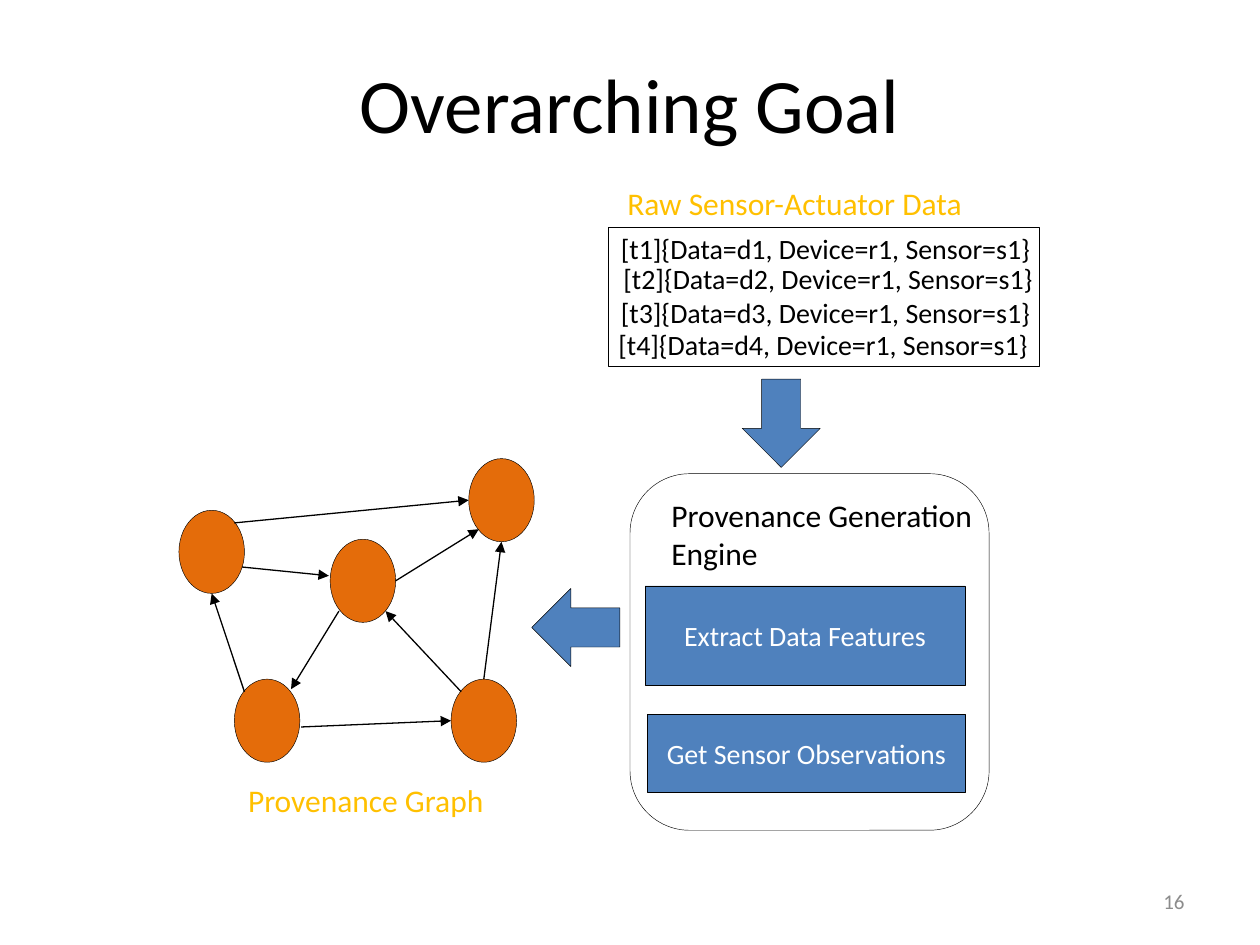
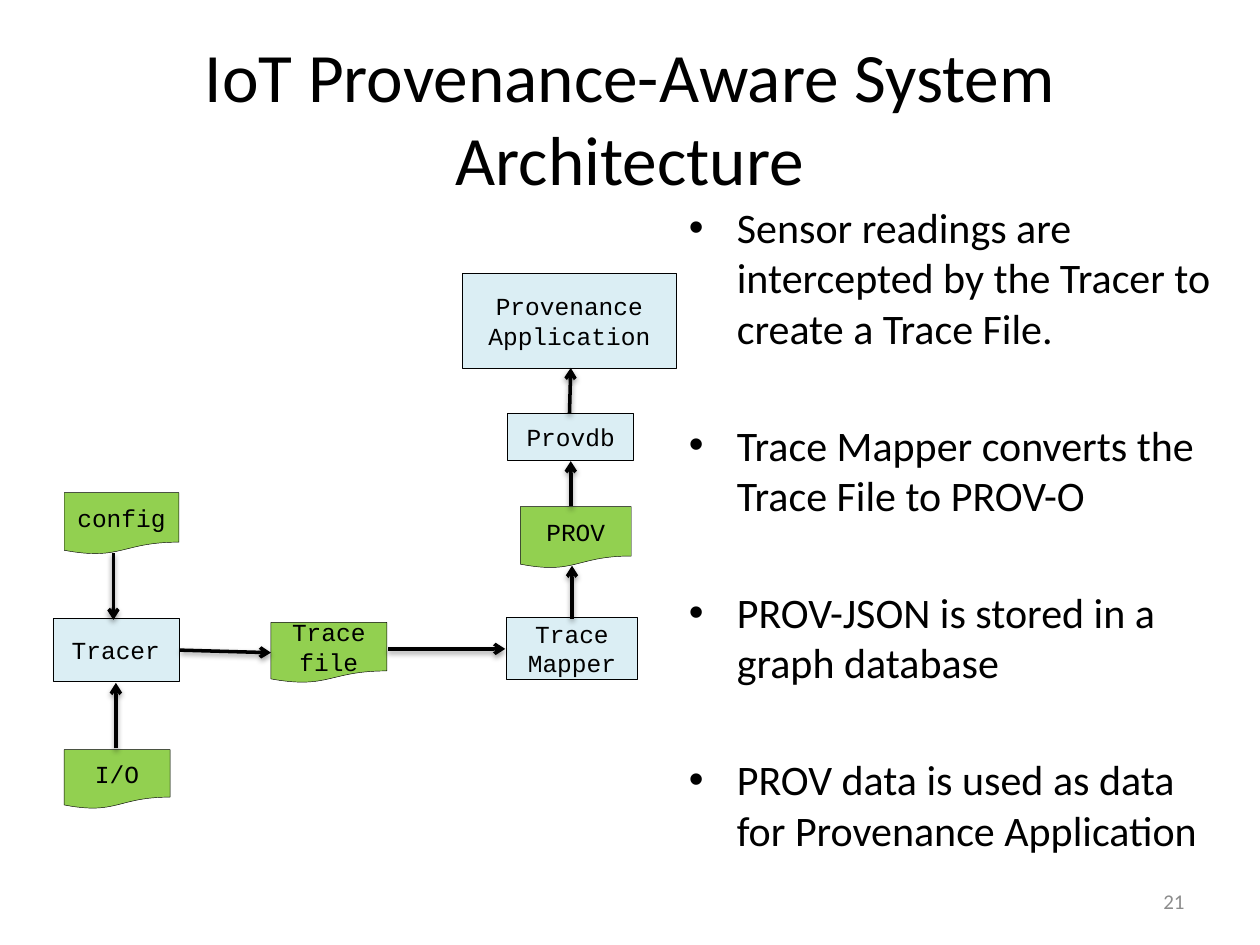
from lxml import etree
from pptx import Presentation
from pptx.dml.color import RGBColor
from pptx.enum.shapes import MSO_CONNECTOR, MSO_SHAPE
from pptx.enum.text import MSO_ANCHOR, PP_ALIGN
from pptx.oxml import parse_xml
from pptx.oxml.ns import nsdecls, qn
from pptx.util import Inches, Pt

BLACK = RGBColor(0x00, 0x00, 0x00)
WHITE = RGBColor(0xFF, 0xFF, 0xFF)
GRAY = RGBColor(0x8C, 0x8C, 0x8C)
BLUE = RGBColor(0x4F, 0x81, 0xBD)
ORANGE = RGBColor(0xE4, 0x6C, 0x0A)
GOLD = RGBColor(0xFF, 0xC0, 0x00)
PALE_BLUE = RGBColor(0xDB, 0xEE, 0xF4)
GREEN = RGBColor(0x92, 0xD0, 0x50)

SANS = "Calibri"
MONO = "Courier New"
LEFT, CENTER, RIGHT = PP_ALIGN.LEFT, PP_ALIGN.CENTER, PP_ALIGN.RIGHT
TOP, MIDDLE = MSO_ANCHOR.TOP, MSO_ANCHOR.MIDDLE
STRAIGHT = MSO_CONNECTOR.STRAIGHT
RECTANGLE = MSO_SHAPE.RECTANGLE
ROUNDED = MSO_SHAPE.ROUNDED_RECTANGLE
OVAL = MSO_SHAPE.OVAL
DOWN_ARROW = MSO_SHAPE.DOWN_ARROW
DOCUMENT = MSO_SHAPE.FLOWCHART_DOCUMENT

COLUMNS, ROWS = 100, 75
SLIDE_WIDTH, SLIDE_HEIGHT = Inches(10), Inches(7.5)
NODE_WIDTH, NODE_HEIGHT = 5.2, 6.6
THIN = 0.25

READINGS = [(48.3, 17.9), (48.5, 20.3), (48.3, 23), (48.1, 25.5)]
GRAPH_NODES = [(26.2, 42.8), (14.2, 40.5), (37.2, 36.4), (35.8, 53.9), (18.6, 53.9)]
GRAPH_EDGES = [
    ((18.6, 41.5), (37.2, 39.7)),
    ((19.2, 45), (26.1, 45.7)),
    ((19.4, 54.9), (16.8, 47.1)),
    ((23.9, 57.7), (35.8, 57.2)),
    ((26.9, 48.5), (23.1, 54.7)),
    ((36.6, 54.9), (30.6, 48.5)),
    ((38.4, 53.9), (39.8, 43)),
    ((31.4, 46.1), (38, 42)),
]
COMPONENTS = [
    ((40.2, 49, 10.4, 4.9), ["Trace Mapper"]),
    ((4.2, 49.1, 10, 5), ["Tracer"]),
    ((40.3, 32.8, 10, 3.7), ["Provdb"]),
    ((36.7, 21.7, 17, 7.5), ["Provenance", "Application"]),
]
FILES = [
    ((5.1, 39.1, 9.1, 4.9), ["config"]),
    ((41.3, 40.2, 8.8, 4.9), ["PROV"]),
    ((21.5, 49.4, 9.2, 4.8), ["Trace", "file"]),
    ((5.1, 59.5, 8.4, 4.7), ["I/O"]),
]
FLOWS = [
    ((14.3, 51.6), (21.5, 51.8)),
    ((9, 43.9), (9, 49.2)),
    ((45.4, 49.1), (45.4, 44.9)),
    ((45.3, 40.2), (45.3, 36.6)),
    ((45.2, 32.8), (45.3, 29.2)),
    ((30.8, 51.5), (40.1, 51.5)),
    ((9.2, 59.4), (9.2, 54.2)),
]
STEPS = [
    "Sensor readings are intercepted by the Tracer to create a Trace File.",
    "Trace Mapper converts the Trace File to PROV-O",
    "PROV-JSON is stored in a graph database",
    "PROV data is used as data for Provenance Application",
]


def place(x, y):
    """Turn grid columns and rows into slide lengths."""
    return round(x * SLIDE_WIDTH / COLUMNS), round(y * SLIDE_HEIGHT / ROWS)


def add_run(paragraph, text, size, color, font):
    """Add one formatted run to a paragraph."""
    run = paragraph.add_run()
    run.text = text
    run.font.size = Pt(size)
    run.font.name = font
    run.font.color.rgb = color


def write_lines(frame, lines, size, color=BLACK, font=SANS, align=LEFT):
    """Fill a text frame with one paragraph per line."""
    for index, line in enumerate(lines):
        paragraph = frame.add_paragraph() if index else frame.paragraphs[0]
        paragraph.alignment = align
        add_run(paragraph, line, size, color, font)


def add_text(slide, box, lines, size, color=BLACK, align=LEFT, anchor=TOP, wrap=True):
    """Add a text box and return its frame."""
    frame = slide.shapes.add_textbox(*place(*box[:2]), *place(*box[2:])).text_frame
    frame.word_wrap = wrap
    frame.vertical_anchor = anchor
    write_lines(frame, lines, size, color, align=align)
    return frame


def add_box(slide, kind, box, fill, lines=(), size=16, color=BLACK, font=SANS):
    """Add a thinly outlined preset shape with centred text."""
    shape = slide.shapes.add_shape(kind, *place(*box[:2]), *place(*box[2:]))
    shape.shadow.inherit = False
    shape.fill.solid()
    shape.fill.fore_color.rgb = fill
    shape.line.color.rgb = BLACK
    shape.line.width = Pt(THIN)
    shape.text_frame.word_wrap = True
    shape.text_frame.vertical_anchor = MIDDLE
    write_lines(shape.text_frame, lines, size, color, font, CENTER)
    return shape


def add_arrow(slide, start, end, width, head, shadowed=False):
    """Draw a straight arrow, with a soft shadow below it if asked."""
    connector = slide.shapes.add_connector(STRAIGHT, *place(*start), *place(*end))
    connector.line.color.rgb = BLACK
    connector.line.width = Pt(width)
    etree.SubElement(connector.line._get_or_add_ln(), qn("a:tailEnd"), type=head)
    effects = parse_xml(f"<a:effectLst {nsdecls('a')}/>")
    if shadowed:
        shadow = etree.SubElement(
            effects, qn("a:outerShdw"), blurRad=str(Pt(3.1)), dist=str(Pt(1.6)),
            dir="5400000", rotWithShape="0")
        color = etree.SubElement(shadow, qn("a:srgbClr"), val=str(BLACK))
        etree.SubElement(color, qn("a:alpha"), val="38000")
    connector._element.spPr.append(effects)


def add_bullets(slide, box, lines, size, gap):
    """Add a bulleted list with hanging indents and even gaps."""
    frame = add_text(slide, box, lines, size)
    for index, paragraph in enumerate(frame.paragraphs):
        properties = paragraph._p.get_or_add_pPr()
        properties.set("marL", str(Inches(0.38)))
        properties.set("indent", str(-Inches(0.38)))
        etree.SubElement(properties, qn("a:buFont"), typeface="Arial")
        etree.SubElement(properties, qn("a:buChar"), char="•")
        if index:
            paragraph.space_before = Pt(gap)


def start_slide(presentation, title, title_row, title_size, number):
    """Add a blank slide with its title and page number."""
    slide = presentation.slides.add_slide(presentation.slide_layouts[6])
    add_text(slide, (5, title_row, 90, 12.5), [title], title_size, align=CENTER, anchor=MIDDLE)
    add_text(slide, (71.7, 69.5, 23.3, 4), [number], 12, GRAY, RIGHT, MIDDLE)
    return slide


def add_sensor_data(slide):
    """Add the framed list of raw sensor readings."""
    add_text(slide, (48.8, 14.1, 28.9, 4), ["Raw Sensor-Actuator Data"], 18, GOLD, wrap=False)
    add_box(slide, RECTANGLE, (48.3, 18, 34.2, 11.1), WHITE)
    for index, (x, y) in enumerate(READINGS, start=1):
        reading = f"[t{index}]{{Data=d{index}, Device=r1, Sensor=s1}}"
        add_text(slide, (x, y, 40.7, 3.7), [reading], 16)


def add_engine(slide):
    """Add the generation engine with its two stages."""
    add_box(slide, ROUNDED, (50, 37.6, 28.5, 28.3), WHITE)
    add_text(slide, (52.3, 38.9, 26.2, 7.1), ["Provenance Generation", "Engine"], 18, wrap=False)
    add_box(slide, RECTANGLE, (51.2, 46.5, 25.4, 7.9), BLUE, ["Extract Data Features"], color=WHITE)
    add_box(slide, RECTANGLE, (51.4, 56.7, 25.2, 6.2), BLUE, ["Get Sensor Observations"], color=WHITE)


def add_provenance_graph(slide):
    """Add the nodes, edges and caption of the graph."""
    for x, y in GRAPH_NODES:
        add_box(slide, OVAL, (x, y, NODE_WIDTH, NODE_HEIGHT), ORANGE)
    for start, end in GRAPH_EDGES:
        add_arrow(slide, start, end, 0.75, "triangle")
    add_text(slide, (18.7, 61.5, 20.9, 4), ["Provenance Graph"], 18, GOLD, wrap=False)


def build_goal(presentation):
    """Build the slide on the overarching goal."""
    slide = start_slide(presentation, "Overarching Goal", 1.9, 44, "16")
    add_sensor_data(slide)
    add_box(slide, DOWN_ARROW, (58.9, 30.1, 6.2, 7), BLUE)
    add_box(slide, DOWN_ARROW, (42.6, 46.3, 6.2, 7), BLUE).rotation = 90
    add_engine(slide)
    add_provenance_graph(slide)


def build_architecture(presentation):
    """Build the slide on the system architecture."""
    slide = start_slide(presentation, "IoT Provenance-Aware System Architecture", 3, 39.6, "21")
    add_bullets(slide, (53.7, 15.5, 45, 51.5), STEPS, 24, 38)
    for kind, fill, items in ((RECTANGLE, PALE_BLUE, COMPONENTS), (DOCUMENT, GREEN, FILES)):
        for box, lines in items:
            add_box(slide, kind, box, fill, lines, 14, font=MONO)
    for start, end in FLOWS:
        add_arrow(slide, start, end, 2, "arrow", shadowed=True)


def main():
    """Build and save the presentation."""
    presentation = Presentation()
    presentation.slide_width = SLIDE_WIDTH
    presentation.slide_height = SLIDE_HEIGHT
    build_goal(presentation)
    build_architecture(presentation)
    presentation.save("out.pptx")


if __name__ == "__main__":
    main()
